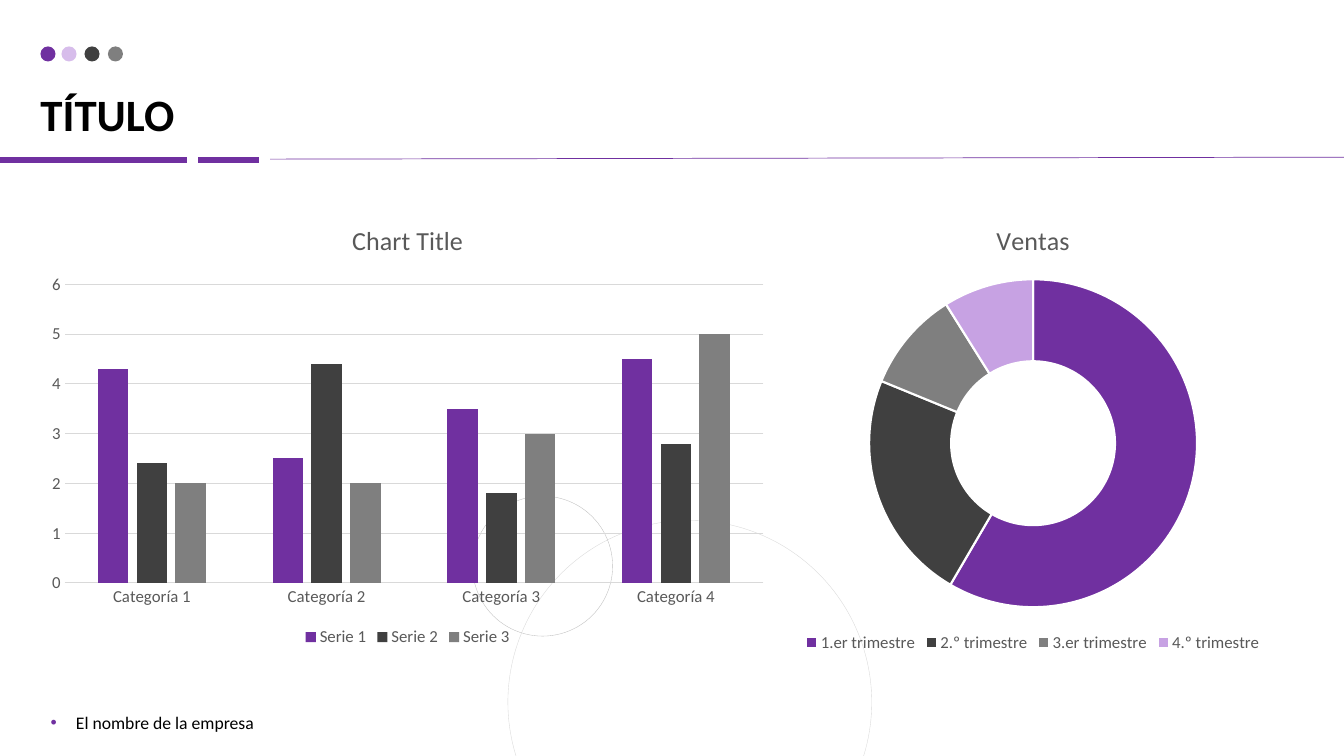
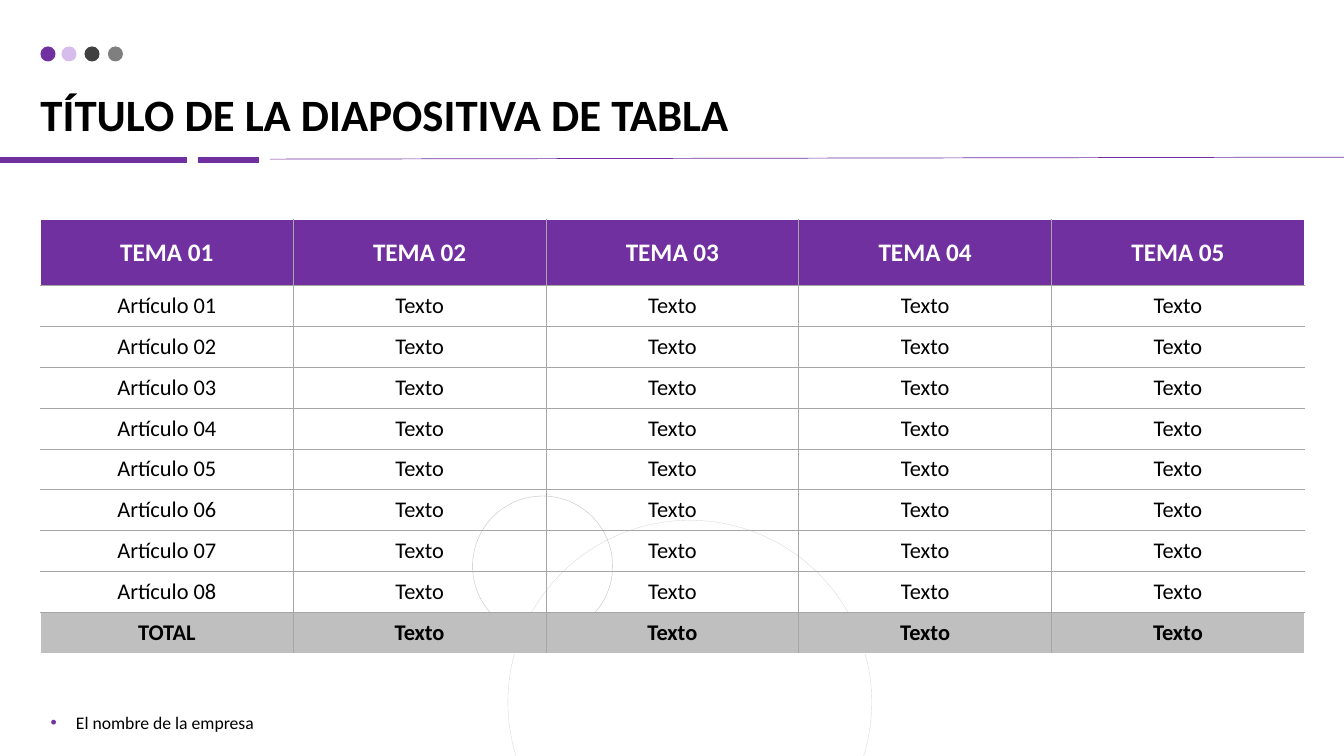
from pptx import Presentation
from pptx import util as u
from pptx.chart import data as cd
from pptx.dml.color import RGBColor
from pptx.enum import chart as ch
from pptx.enum import shapes, text
from pptx.oxml import ns
from lxml import etree

PURPLE, LILAC, DARK, GREY = "7030A0", "C7A2E3", "404040", "7F7F7F"
SILVER, PALE, RULE, LABEL = "BFBFBF", "D9D9D9", "A6A6A6", "595959"
BLACK, WHITE = "000000", "FFFFFF"
LEFT, WIDTH = 1.02, 31.85


def paint(fill, color=None):
    if color is None:
        fill.background()
    else:
        fill.solid()
        fill.fore_color.rgb = RGBColor.from_string(color)


def stroke(line, color, width):
    paint(line.fill, color)
    line.width = u.Pt(width)


def assign(obj, **values):
    for name, value in values.items():
        setattr(obj, name, value)


def child(parent, tag, **attrs):
    return etree.SubElement(parent, ns.qn(tag), attrs)


class Deck:
    title_font = {"name": "Calibri", "size": u.Pt(32), "bold": True}
    footer_font = {"name": "Calibri", "size": u.Pt(12.6), "bold": False}
    chart_font = {"name": "Calibri", "size": u.Pt(12), "bold": False}
    heading_font = {"name": "Calibri", "size": u.Pt(18.6), "bold": False}
    head_font = {"name": "Calibri", "size": u.Pt(18), "bold": True}
    cell_font = {"name": "Calibri", "size": u.Pt(16), "bold": False}
    total_font = {**cell_font, "bold": True}

    def __init__(self):
        self.prs = Presentation()
        assign(self.prs, slide_width=u.Cm(33.87), slide_height=u.Cm(19.05))

    def style(self, font, values, color):
        assign(font, **values)
        paint(font.fill, color)

    def slide(self, title, footer):
        self.s = self.prs.slides.add_slide(self.prs.slide_layouts[1])
        self.title(title)
        self.footer(footer)
        self.decoration()

    def placeholder(self, sp, words, box, font, spacing):
        for name, value in zip(("left", "top", "width", "height"), box):
            setattr(sp, name, u.Cm(value))
        tf = sp.text_frame
        assign(tf, word_wrap=True, auto_size=text.MSO_AUTO_SIZE.NONE)
        p = tf.paragraphs[0]
        assign(p, alignment=text.PP_ALIGN.LEFT, line_spacing=spacing)
        r = p.add_run()
        r.text = words
        self.style(r.font, font, BLACK)
        return tf, p

    def title(self, words):
        tf, p = self.placeholder(self.s.shapes.title, words, (LEFT, 0.69, WIDTH, 2.87),
                                 self.title_font, 0.9)
        assign(tf, vertical_anchor=text.MSO_ANCHOR.BOTTOM, margin_left=0, margin_top=0,
               margin_right=0, margin_bottom=0)

    def footer(self, words):
        tf, p = self.placeholder(self.s.placeholders[1], words, (LEFT, 17.96, 6.27, 0.69),
                                 self.footer_font, 0.7)
        tf.vertical_anchor = text.MSO_ANCHOR.TOP
        p.space_before = u.Pt(10)
        pPr = p._p.get_or_add_pPr()
        indent = u.Cm(0.64)
        pPr.set("marL", str(indent))
        pPr.set("indent", str(-indent))
        child(child(pPr, "a:buClr"), "a:srgbClr", val=PURPLE)
        child(pPr, "a:buFont", typeface="Arial")
        child(pPr, "a:buChar", char="•")

    def decoration(self):
        self.line((0, 4.04), (4.7, 4.04), 4.5)
        self.line((5, 4.04), (6.53, 4.04), 4.5)
        self.line((6.81, 4.01), (33.87, 3.96), 0.5)
        for left, color in zip((1.02, 1.55, 2.13, 2.72), (PURPLE, LILAC, DARK, GREY)):
            self.circle(left, 1.17, 0.38, fill=color, alpha=70 if color == LILAC else None)
        self.circle(12.8, 13.11, 9.17, outline=PALE)
        self.circle(11.91, 12.5, 3.53, outline=SILVER)

    def line(self, start, end, width):
        cx = self.s.shapes.add_connector(shapes.MSO_CONNECTOR.STRAIGHT,
                                         *(u.Cm(v) for v in start + end))
        stroke(cx.line, PURPLE, width)
        child(cx._element.spPr, "a:effectLst")

    def circle(self, left, top, size, fill=None, outline=None, alpha=None):
        sp = self.s.shapes.add_shape(shapes.MSO_SHAPE.OVAL,
                                     *(u.Cm(v) for v in (left, top, size, size)))
        sp.shadow.inherit = False
        paint(sp.fill, fill)
        if alpha:
            color = sp._element.spPr.find(".//" + ns.qn("a:srgbClr"))
            child(color, "a:alpha", val=str(alpha * 1000))
        if outline:
            stroke(sp.line, outline, 0.25)
        else:
            paint(sp.line.fill)

    def chart(self, kind, title, box, cats, series):
        data = cd.CategoryChartData()
        data.categories = cats
        for name, values in series:
            data.add_series(name, values)
        chart = self.s.shapes.add_chart(kind, *(u.Cm(v) for v in box), data).chart
        self.style(chart.font, self.chart_font, LABEL)
        assign(chart, has_title=True, has_legend=True)
        tf = chart.chart_title.text_frame
        tf.text = title
        self.style(tf.paragraphs[0].runs[0].font, self.heading_font, LABEL)
        assign(chart.legend, position=ch.XL_LEGEND_POSITION.BOTTOM, include_in_layout=False)
        return chart

    def columns(self, *args):
        chart = self.chart(ch.XL_CHART_TYPE.COLUMN_CLUSTERED, *args)
        plot = chart.plots[0]
        assign(plot, gap_width=219, overlap=-27, vary_by_categories=False)
        for series, color in zip(plot.series, (PURPLE, DARK, GREY)):
            paint(series.format.fill, color)
        for axis in (chart.category_axis, chart.value_axis):
            assign(axis, major_tick_mark=ch.XL_TICK_MARK.NONE,
                   minor_tick_mark=ch.XL_TICK_MARK.NONE)
            self.style(axis.tick_labels.font, self.chart_font, LABEL)
        stroke(chart.category_axis.format.line, PALE, 0.75)
        assign(chart.value_axis, minimum_scale=0, maximum_scale=6, major_unit=1)
        paint(chart.value_axis.format.line.fill)
        stroke(chart.value_axis.major_gridlines.format.line, PALE, 0.75)

    def doughnut(self, *args):
        plot = self.chart(ch.XL_CHART_TYPE.DOUGHNUT, *args).plots[0]
        plot.vary_by_categories = True
        plot._element.find(ns.qn("c:holeSize")).set("val", "75")
        for i, color in enumerate((PURPLE, DARK, GREY, LILAC)):
            fmt = plot.series[0].points[i].format
            paint(fmt.fill, color)
            stroke(fmt.line, WHITE, 1.5)

    def borders(self, cell, edges):
        tcPr = cell._tc.get_or_add_tcPr()
        for i, (side, outer) in enumerate(edges.items()):
            color, width = (WHITE, 1) if outer else (RULE, 0.5)
            ln = etree.Element(ns.qn("a:" + side), w=str(u.Pt(width)))
            child(child(ln, "a:solidFill"), "a:srgbClr", val=color)
            tcPr.insert(i, ln)

    def table(self, top, rows, head_height, row_height):
        n, m = len(rows), len(rows[0])
        height = head_height + row_height * (n - 1)
        tbl = self.s.shapes.add_table(n, m, *(u.Cm(v) for v in (LEFT, top, WIDTH, height))).table
        assign(tbl, horz_banding=False, last_row=True)
        for column in tbl.columns:
            column.width = u.Cm(WIDTH / m)
        looks = {0: (PURPLE, self.head_font, WHITE), n - 1: (SILVER, self.total_font, BLACK)}
        for i, row in enumerate(rows):
            tbl.rows[i].height = u.Cm(row_height if i else head_height)
            fill, font, color = looks.get(i, (None, self.cell_font, BLACK))
            for j, words in enumerate(row):
                cell = tbl.cell(i, j)
                assign(cell, text=words, vertical_anchor=text.MSO_ANCHOR.MIDDLE)
                p = cell.text_frame.paragraphs[0]
                p.alignment = text.PP_ALIGN.CENTER
                self.style(p.runs[0].font, font, color)
                paint(cell.fill, fill)
                self.borders(cell, {"lnL": j == 0, "lnR": j == m - 1,
                                    "lnT": i == 0, "lnB": i == n - 1})


def main():
    deck = Deck()
    footer = "El nombre de la empresa"

    deck.slide("TÍTULO", footer)
    deck.columns("Chart Title", (0.94, 5.11, 18.67, 11.3),
                 [f"Categoría {i}" for i in range(1, 5)],
                 [("Serie 1", (4.3, 2.5, 3.5, 4.5)),
                  ("Serie 2", (2.4, 4.4, 1.8, 2.8)),
                  ("Serie 3", (2, 2, 3, 5))])
    deck.doughnut("Ventas", (19.2, 5.11, 13.67, 11.43),
                  ["1.er trimestre", "2.º trimestre", "3.er trimestre", "4.º trimestre"],
                  [("Series 1", (59, 23, 10, 9))])

    deck.slide("TÍTULO DE LA DIAPOSITIVA DE TABLA", footer)
    labels = [f"Artículo {i:02}" for i in range(1, 9)] + ["TOTAL"]
    rows = [[f"TEMA {i:02}" for i in range(1, 6)]]
    rows += [[label] + ["Texto"] * 4 for label in labels]
    deck.table(5.54, rows, 1.65, 1.03)

    deck.prs.save("out.pptx")


if __name__ == "__main__":
    main()
